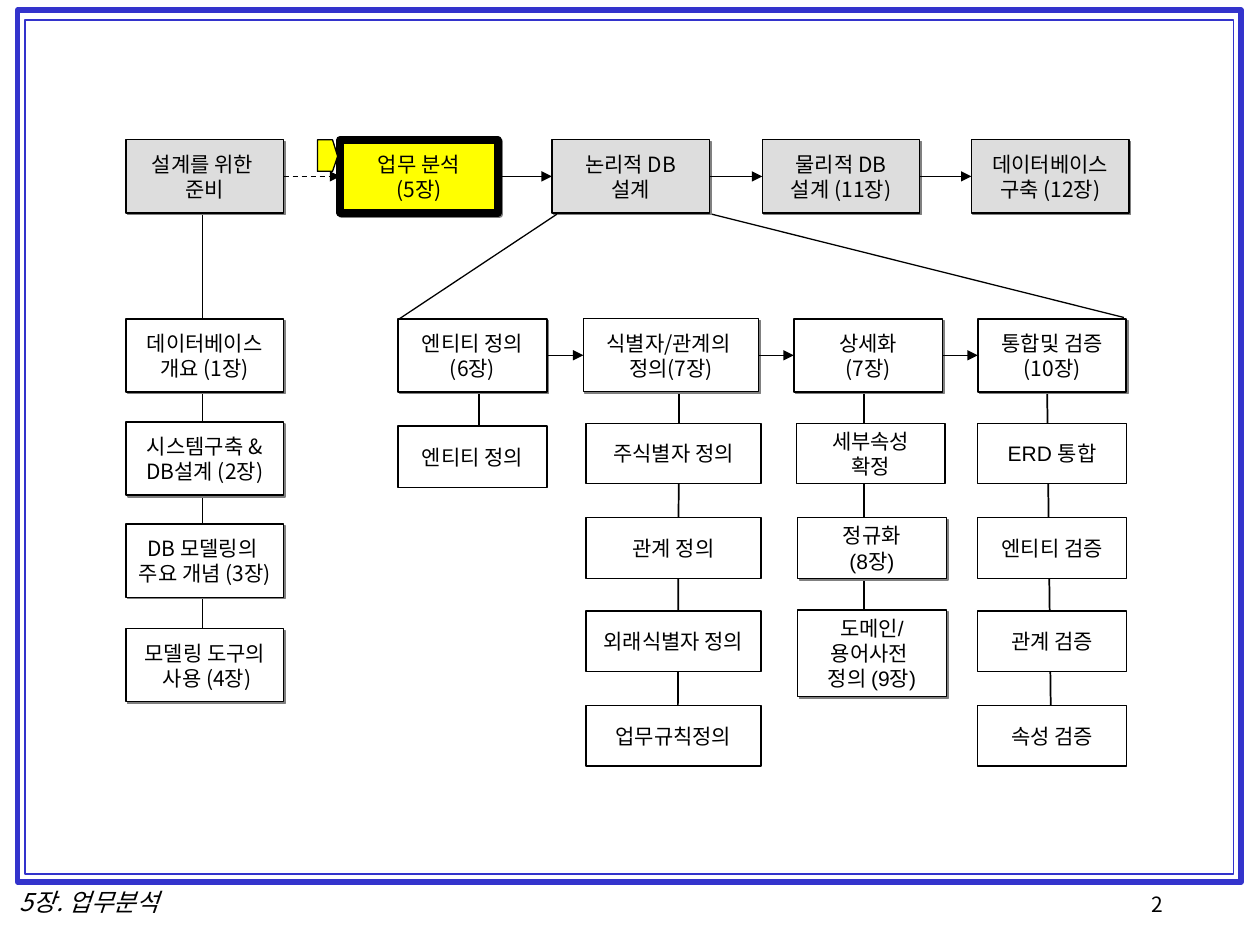
import itertools

import pptx
import pptx.dml.color
import pptx.enum.dml
import pptx.enum.shapes
import pptx.enum.text
import pptx.oxml
import pptx.oxml.ns
import pptx.util

Inches = pptx.util.Inches
Pt = pptx.util.Pt
ALIGN = pptx.enum.text.PP_ALIGN
SHAPE = pptx.enum.shapes.MSO_SHAPE
NS = pptx.oxml.ns.nsdecls("a")

COLORS = {
    "black": "000000", "white": "FFFFFF", "gray": "DDDDDD",
    "yellow": "FFFF00", "frame": "3333CC", "shadow": "808080",
}
KOREAN = "Noto Sans CJK KR"
LATIN = "Arial"

STAGE_TOP, STAGE_W, HEAD_H = 1.11, 1.25, 0.58
DETAIL_TOP, STEP_H = 2.53, 0.48

STAGES = [
    (1, ["설계를 위한 ", "준비"]),
    (2.7, ["업무 분석", "(5장)"]),
    (4.38, ["논리적 DB", "설계"]),
    (6.05, ["물리적 DB", "설계 (11장)"]),
    (7.71, ["데이터베이스", "구축 (12장)"]),
]
PREPARATION = [
    (2.53, 1, ["데이터베이스", "개요 (1장)"]),
    (3.35, 1, ["시스템구축 &", "DB설계 (2장)"]),
    (4.16, 0.75, ["DB 모델링의 ", "주요 개념 (3장)"]),
    (4.99, 0.75, ["모델링 도구의", " 사용 (4장)"]),
]
DETAIL_HEADS = [
    (3.16, 1.18, 1, ["엔티티 정의", "(6장)"]),
    (4.63, 1.39, 0.75, ["식별자/관계의 ", "정의(7장)"]),
    (6.3, 1.18, 1, ["상세화", "(7장)"]),
    (7.76, 1.18, 1, ["통합및 검증", "(10장)"]),
]
STEP_TOPS = [3.36, 4.11, 4.85, 5.6]
STEP_COLUMNS = [
    (4.65, 1.39, ["주식별자 정의", "관계 정의", "외래식별자 정의", "업무규칙정의"]),
    (7.76, 1.18, ["ERD 통합", "엔티티 검증", "관계 검증", "속성 검증"]),
]
SPINES = [
    ((1.61, 1.7), (1.61, 5.03), 0.75),
    ((3.8, 3.08), (3.8, 3.41), 1),
    ((5.39, 2.94), (5.38, 5.61), 1),
    ((6.86, 3.01), (6.86, 4.89), 1),
    ((8.31, 3.01), (8.34, 5.66), 1),
]


def rgb(name):
    return pptx.dml.color.RGBColor.from_string(COLORS[name])


def set_text(tf, lines, size, font, align=ALIGN.CENTER, italic=False):
    tf.word_wrap = False
    for i, line in enumerate(lines):
        p = tf.paragraphs[0] if i == 0 else tf.add_paragraph()
        p.alignment = align
        r = p.add_run()
        r.text = line
        r.font.size = Pt(size)
        r.font.name = font
        r.font.italic = italic
        r.font.color.rgb = rgb("black")
        if font == KOREAN:
            r.font._element.append(pptx.oxml.parse_xml(f'<a:ea {NS} typeface="{font}"/>'))


def style(sp, fill, color, width):
    sp.shadow.inherit = False
    if fill:
        sp.fill.solid()
        sp.fill.fore_color.rgb = rgb(fill)
    else:
        sp.fill.background()
    sp.line.color.rgb = rgb(color)
    sp.line.width = Pt(width)


def add_frame(s, x, y, w, h, width):
    sp = s.shapes.add_shape(SHAPE.RECTANGLE, Inches(x), Inches(y), Inches(w), Inches(h))
    style(sp, None, "frame", width)


def add_box(s, x, y, w, h, lines, fill="white", width=0.75, font=KOREAN, shadow=True):
    sp = s.shapes.add_shape(SHAPE.RECTANGLE, Inches(x), Inches(y), Inches(w), Inches(h))
    style(sp, fill, "black", width)
    if shadow:
        effects = sp._element.spPr.find(pptx.oxml.ns.qn("a:effectLst"))
        effects.append(pptx.oxml.parse_xml(
            f'<a:outerShdw {NS} dist="{Pt(1.4)}" dir="2700000" algn="ctr" rotWithShape="0">'
            f'<a:srgbClr val="{COLORS["shadow"]}"/></a:outerShdw>'))
    sp.text_frame.vertical_anchor = pptx.enum.text.MSO_ANCHOR.MIDDLE
    set_text(sp.text_frame, lines, 12, font)
    return sp


def add_line(s, start, end, width=0.75):
    c = s.shapes.add_connector(
        pptx.enum.shapes.MSO_CONNECTOR.STRAIGHT,
        *(Inches(v) for v in (*start, *end)))
    c.line.color.rgb = rgb("black")
    c.line.width = Pt(width)
    c._element.spPr.append(pptx.oxml.parse_xml(f"<a:effectLst {NS}/>"))
    return c


def add_arrow(s, left, right, dashed=False):
    c = add_line(s, (0, 0), (1, 1))
    c.begin_connect(left, 3)
    c.end_connect(right, 1)
    if dashed:
        c.line.dash_style = pptx.enum.dml.MSO_LINE.DASH
    c.line._get_or_add_ln().append(pptx.oxml.parse_xml(f'<a:tailEnd {NS} type="triangle"/>'))


def add_label(s, x, y, w, h, text, size, align, italic=False):
    tf = s.shapes.add_textbox(Inches(x), Inches(y), Inches(w), Inches(h)).text_frame
    set_text(tf, [text], size, KOREAN, align, italic)
    tf.auto_size = pptx.enum.text.MSO_AUTO_SIZE.SHAPE_TO_FIT_TEXT


def add_marker(s):
    points = [(2.52, 1.11), (2.64, 1.11), (2.68, 1.24), (2.64, 1.36), (2.52, 1.36)]
    outline = [(Inches(x), Inches(y)) for x, y in points]
    fb = s.shapes.build_freeform(*outline[0])
    fb.add_line_segments(outline[1:], close=True)
    style(fb.convert_to_shape(), "yellow", "black", 0.75)


def add_stages(s):
    boxes = []
    for i, (x, lines) in enumerate(STAGES):
        fill, width = ("yellow", 4.5) if i == 1 else ("gray", 0.75)
        boxes.append(add_box(s, x, STAGE_TOP, STAGE_W, HEAD_H, lines, fill, width))
    for i, (left, right) in enumerate(itertools.pairwise(boxes)):
        add_arrow(s, left, right, dashed=i == 0)


def add_details(s):
    heads = [add_box(s, x, DETAIL_TOP, w, HEAD_H, lines, width=width)
             for x, w, width, lines in DETAIL_HEADS]
    for left, right in itertools.pairwise(heads):
        add_arrow(s, left, right)
    add_box(s, 3.16, 3.38, 1.18, 0.49, ["엔티티 정의"], width=1, font=LATIN, shadow=False)
    for x, w, names in STEP_COLUMNS:
        for y, name in zip(STEP_TOPS, names):
            add_box(s, x, y, w, STEP_H, [name], font=LATIN, shadow=False)
    add_box(s, 6.32, 3.36, 1.18, STEP_H, ["세부속성", "확정"], font=LATIN, shadow=False)
    add_box(s, 6.33, 4.11, 1.18, STEP_H, ["정규화", "(8장)"], font=LATIN)
    add_box(s, 6.33, 4.84, 1.18, 0.69, ["도메인/", "용어사전 ", "정의 (9장)"], font=LATIN)


def main():
    prs = pptx.Presentation()
    prs.slide_width, prs.slide_height = Inches(10), Inches(7.5)
    s = prs.slides.add_slide(prs.slide_layouts[6])
    add_label(s, -0.01, 6.99, 1.44, 0.34, "5장. 업무분석", 14, ALIGN.CENTER, italic=True)
    add_label(s, 9.04, 7.03, 1.02, 0.33, "2", 12, ALIGN.LEFT)
    add_frame(s, 0.14, 0.08, 9.71, 6.92, 3)
    add_frame(s, 0.2, 0.16, 9.59, 6.78, 1)
    for start, end, width in SPINES:
        add_line(s, start, end, width)
    add_stages(s)
    for y, width, lines in PREPARATION:
        add_box(s, 1, y, STAGE_W, HEAD_H, lines, width=width)
    add_details(s)
    add_line(s, (4.42, 1.7), (3.17, 2.53))
    add_line(s, (5.65, 1.7), (8.92, 2.52))
    add_marker(s)
    prs.save("out.pptx")


if __name__ == "__main__":
    main()
